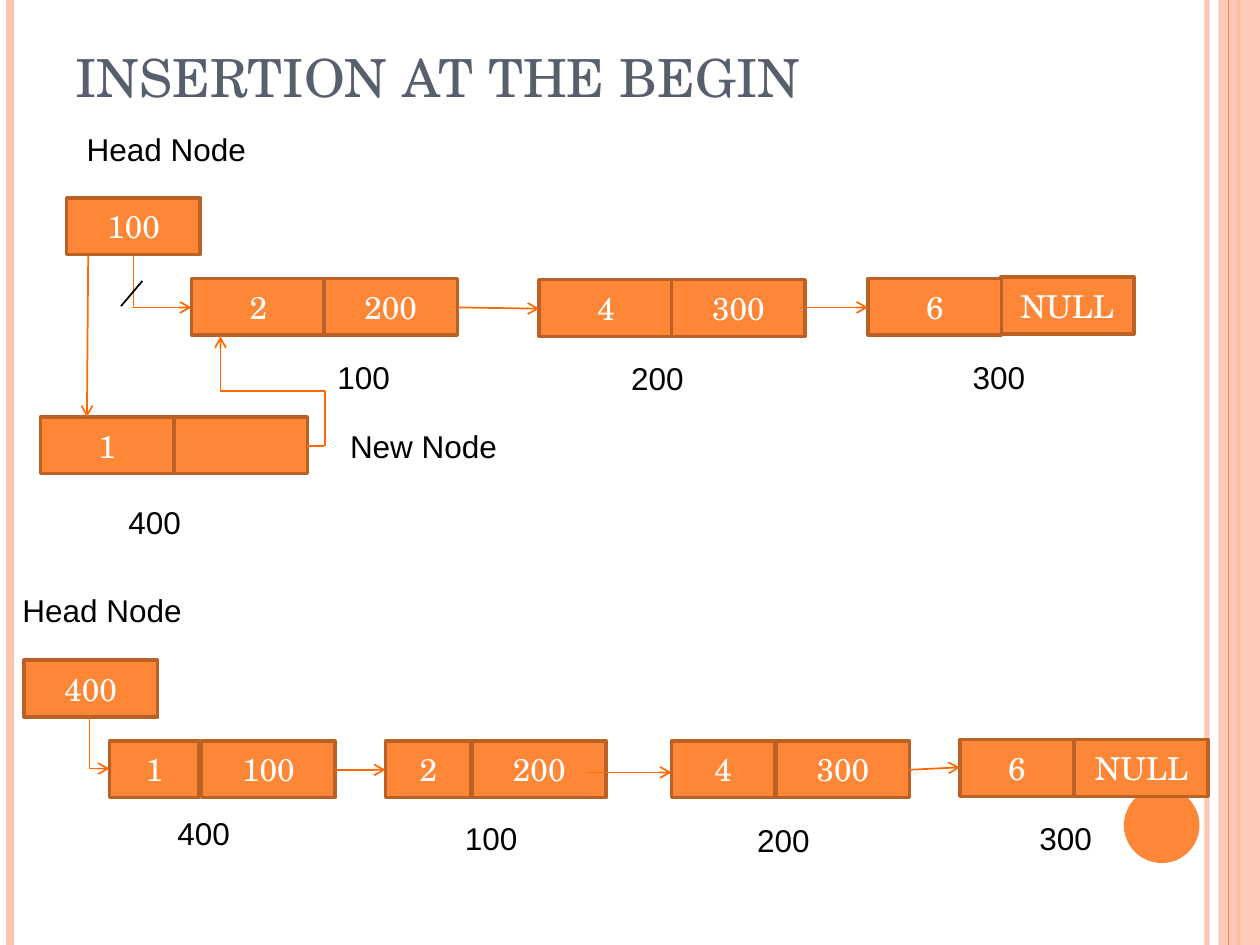
"""Build a slide that shows insertion at the beginning of a linked list."""
from dataclasses import dataclass

from lxml.etree import SubElement
from pptx import Presentation
from pptx.dml.color import RGBColor
from pptx.enum.shapes import MSO_CONNECTOR, MSO_SHAPE
from pptx.enum.text import MSO_ANCHOR, MSO_AUTO_SIZE, PP_ALIGN
from pptx.oxml.ns import qn
from pptx.util import Inches, Pt


@dataclass(frozen=True)
class Theme:
    orange: str = "FE8637"
    peach: str = "FEC3AE"
    border: str = "BB6126"
    arrow: str = "FF6903"
    slate: str = "575F6D"
    black: str = "000000"
    white: str = "FFFFFF"
    serif: str = "TeX Gyre Schola"
    sans: str = "Arial"
    title_size: int = 30
    body_size: int = 18


def write(frame, text, *, font, size, color, align=PP_ALIGN.LEFT, anchor=MSO_ANCHOR.TOP):
    frame.word_wrap = True
    frame.vertical_anchor = anchor
    paragraph = frame.paragraphs[0]
    paragraph.alignment = align
    span = paragraph.add_run()
    span.text = text
    span.font.name = font
    span.font.size = Pt(size)
    span.font.color.rgb = RGBColor.from_string(color)


def set_opacity(owner, percent):
    color = next(owner.iter(qn("a:srgbClr")))
    SubElement(color, qn("a:alpha"), val=str(percent * 1000))


class ListPage:
    def __init__(self, page, theme):
        self.page = page
        self.theme = theme

    def shape(self, kind, left, top, width, height, fill, border=None, opacity=100):
        box = self.page.shapes.add_shape(
            kind, Inches(left), Inches(top), Inches(width), Inches(height))
        box.shadow.inherit = False
        box.fill.solid()
        box.fill.fore_color.rgb = RGBColor.from_string(fill)
        if opacity < 100:
            set_opacity(box.element.spPr, opacity)
        if border:
            box.line.color.rgb = RGBColor.from_string(border)
            box.line.width = Pt(2)
        else:
            box.line.fill.background()
        return box

    def cell(self, text, left, top, width=1.06):
        theme = self.theme
        box = self.shape(MSO_SHAPE.RECTANGLE, left, top, width, 0.45, theme.orange, theme.border)
        if text:
            write(box.text_frame, text, font=theme.serif, size=theme.body_size,
                  color=theme.white, align=PP_ALIGN.CENTER, anchor=MSO_ANCHOR.MIDDLE)

    def label(self, text, left, top, width=0.85):
        theme = self.theme
        box = self.page.shapes.add_textbox(Inches(left), Inches(top), Inches(width), Inches(0.4))
        write(box.text_frame, text, font=theme.sans, size=theme.body_size, color=theme.black)
        box.text_frame.auto_size = MSO_AUTO_SIZE.SHAPE_TO_FIT_TEXT

    def title(self, text):
        theme = self.theme
        box = self.page.shapes.add_textbox(Inches(0.5), Inches(0.3), Inches(8.17), Inches(0.61))
        write(box.text_frame, text, font=theme.serif, size=theme.title_size,
              color=theme.slate, anchor=MSO_ANCHOR.BOTTOM)

    def line(self, start, end, color, width=1, opacity=100, kind=MSO_CONNECTOR.STRAIGHT):
        points = [Inches(value) for value in (*start, *end)]
        link = self.page.shapes.add_connector(kind, *points)
        link.line.color.rgb = RGBColor.from_string(color)
        link.line.width = Pt(width)
        if opacity < 100:
            set_opacity(link.element.spPr, opacity)
        SubElement(link.element.spPr, qn("a:effectLst"))
        return link

    def arrow(self, start, end, kind=MSO_CONNECTOR.STRAIGHT):
        link = self.line(start, end, self.theme.arrow, kind=kind)
        SubElement(link.line._get_or_add_ln(), qn("a:tailEnd"), type="arrow")
        return link

    def elbow(self, start, end, preset, flip):
        across, down = abs(end[0] - start[0]), abs(end[1] - start[1])
        left = (start[0] + end[0] - down) / 2
        top = (start[1] + end[1] - across) / 2
        link = self.arrow((left, top), (left + down, top + across), MSO_CONNECTOR.ELBOW)
        properties = link.element.spPr
        properties.find(qn("a:prstGeom")).set("prst", preset)
        frame = properties.find(qn("a:xfrm"))
        frame.set("rot", "16200000")
        frame.set(flip, "1")

    def frame(self):
        theme = self.theme
        self.line((9.58, 0), (9.58, 7.5), theme.peach, 3, opacity=93)
        self.line((0.08, 0), (0.08, 7.5), theme.peach, 4.5)
        self.line((9.83, 0), (9.83, 7.5), theme.orange, 1.5)
        self.shape(MSO_SHAPE.RECTANGLE, 9.67, 0, 0.33, 7.5, theme.peach, opacity=87)
        self.line((9.75, 0), (9.75, 7.5), theme.orange, 0.75)
        self.shape(MSO_SHAPE.OVAL, 8.92, 6.25, 0.6, 0.6, theme.orange)


def main():
    deck = Presentation()
    deck.slide_width, deck.slide_height = Inches(10), Inches(7.5)
    theme = Theme()
    diagram = ListPage(deck.slides.add_slide(deck.slide_layouts[6]), theme)
    diagram.frame()
    diagram.title("INSERTION AT THE BEGIN")

    cells_before = [
        ("NULL", 7.94, 2.2), ("100", 0.53, 1.57), ("2", 1.52, 2.21), ("200", 2.57, 2.21),
        ("4", 4.28, 2.22), ("300", 5.33, 2.22), ("6", 6.89, 2.21),
        ("1", 0.32, 3.31), ("", 1.38, 3.31),
    ]
    cells_after = [
        ("NULL", 8.53, 5.87), ("400", 0.19, 5.24), ("1", 0.87, 5.88, 0.71), ("100", 1.6, 5.88),
        ("2", 3.06, 5.88, 0.68), ("300", 6.16, 5.88), ("6", 7.62, 5.87, 0.9),
        ("4", 5.33, 5.88, 0.82), ("200", 3.75, 5.88),
    ]
    for cell in cells_before + cells_after:
        diagram.cell(*cell)

    labels = [
        ("Head Node", 0.59, 0.98, 1.57), ("100", 2.58, 2.79), ("200", 4.91, 2.8),
        ("300", 7.62, 2.79), ("400", 0.92, 3.94), ("New Node", 2.68, 3.34, 1.57),
        ("Head Node", 0.08, 4.64, 1.57), ("400", 1.31, 6.41), ("100", 3.59, 6.45),
        ("200", 5.91, 6.47), ("300", 8.15, 6.45),
    ]
    for label in labels:
        diagram.label(*label)

    arrows = [
        ((3.63, 2.44), (4.28, 2.45)), ((6.39, 2.44), (6.89, 2.44)), ((0.7, 2.03), (0.69, 3.31)),
        ((2.66, 6.11), (3.06, 6.11)), ((4.66, 6.13), (5.33, 6.13)), ((7.21, 6.11), (7.62, 6.09)),
    ]
    for start, end in arrows:
        diagram.arrow(start, end)

    diagram.elbow((1.06, 2.03), (1.52, 2.44), "bentConnector2", "flipH")
    diagram.elbow((0.71, 5.69), (0.87, 6.1), "bentConnector2", "flipH")
    diagram.elbow((2.58, 3.54), (1.75, 2.67), "bentConnector3", "flipV")
    diagram.line((2.44, 3.54), (2.57, 3.54), theme.arrow)
    diagram.line((1.13, 2.23), (0.96, 2.43), theme.black)
    deck.save("out.pptx")


if __name__ == "__main__":
    main()
